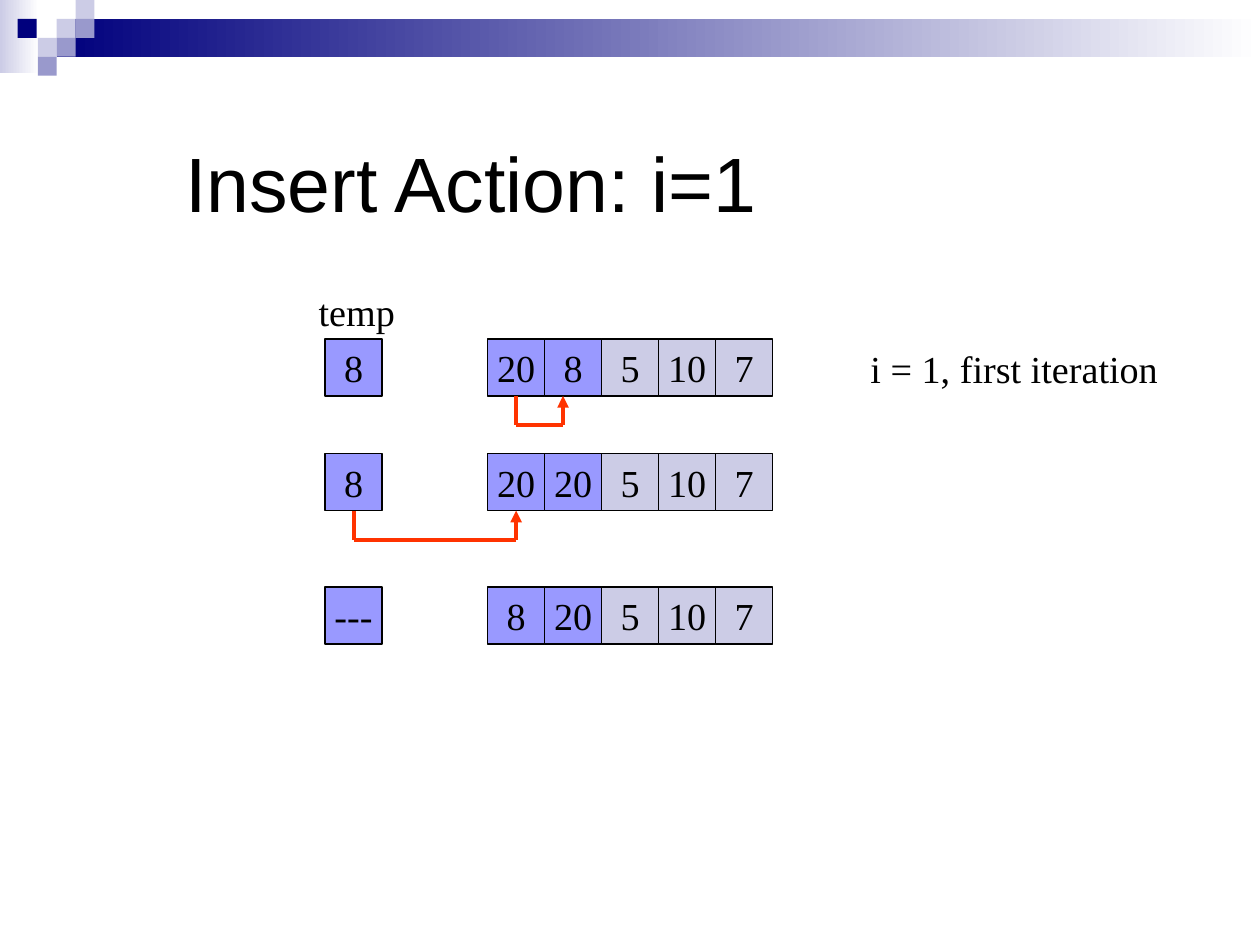
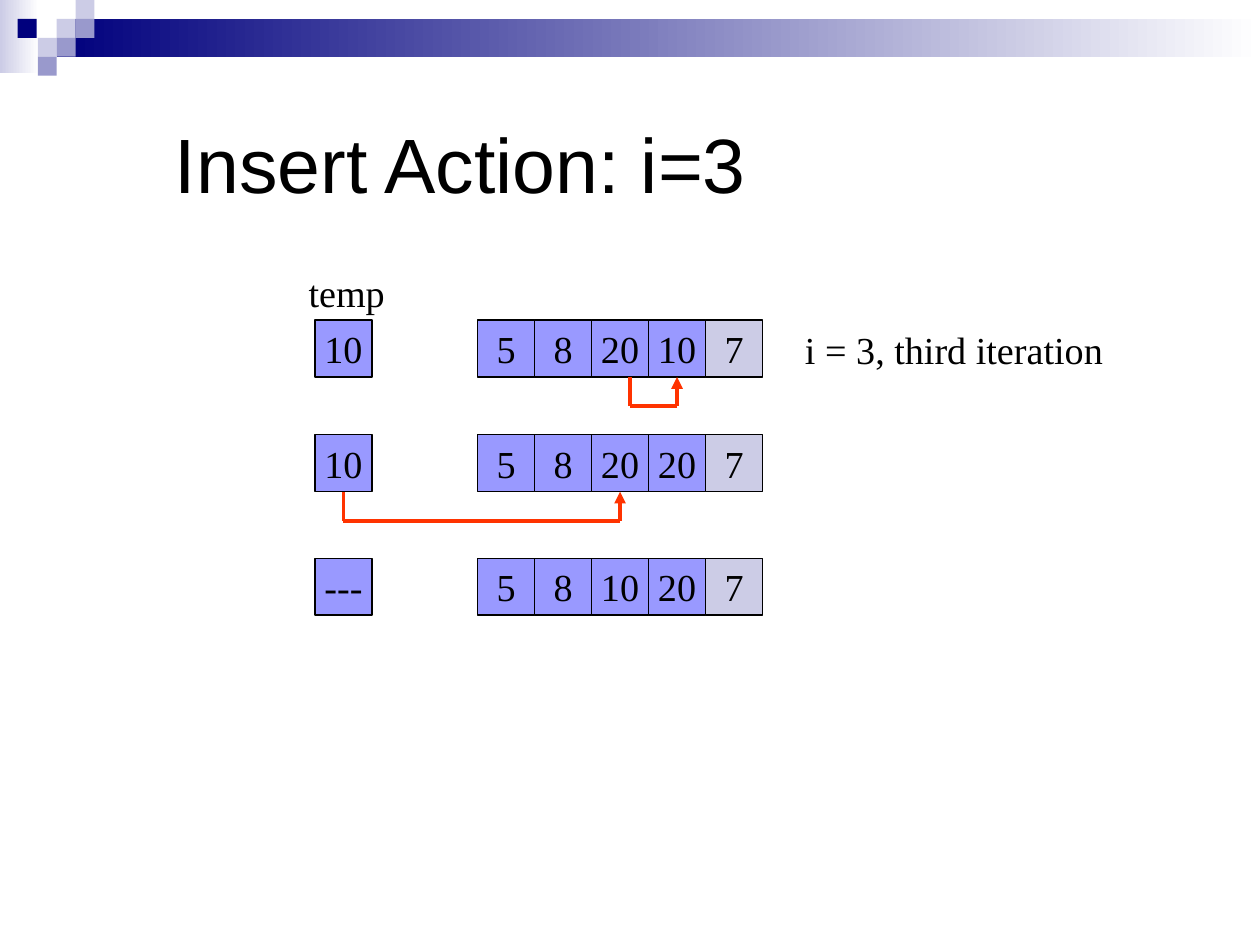
from dataclasses import dataclass
from typing import Any

from pptx import Presentation
from pptx.dml.color import RGBColor
from pptx.enum.shapes import MSO_CONNECTOR as ConnectorKind, MSO_SHAPE as ShapeKind
from pptx.enum.text import MSO_ANCHOR as Anchor, PP_ALIGN as Align
from pptx.oxml.ns import qn
from pptx.shapes.autoshape import Shape
from pptx.slide import Slide
from pptx.util import Inches, Length, Pt
from lxml.etree import SubElement

BLACK = RGBColor(0x00, 0x00, 0x00)
WHITE = RGBColor(0xFF, 0xFF, 0xFF)
NAVY = RGBColor(0x00, 0x00, 0x7D)
LAVENDER = RGBColor(0xCC, 0xCC, 0xE6)
DUSK = RGBColor(0x99, 0x99, 0xCC)
SORTED_BLUE = RGBColor(0x99, 0x99, 0xFF)
ARROW_RED = RGBColor(0xFF, 0x33, 0x00)

TITLE_FONT = {"name": "Arial", "size": Pt(44)}
BODY_FONT = {"name": "Times New Roman", "size": Pt(21.8)}
TITLE_FRAME = {"word_wrap": True, "vertical_anchor": Anchor.MIDDLE}
LABEL_FRAME = {"word_wrap": True, "vertical_anchor": Anchor.TOP}
CELL_FRAME = {"word_wrap": False, "vertical_anchor": Anchor.MIDDLE}

CELL = Length(Inches(1.81) // 4)
TEMP_GAP = Inches(1.29)
DROP = Inches(0.23)
TILE = Inches(0.15)


@dataclass(frozen=True)
class Tile:
    left: float
    top: float
    color: RGBColor


@dataclass(frozen=True)
class Step:
    offset: float
    temp: str
    values: tuple[str, ...]


@dataclass(frozen=True)
class Move:
    step: int
    source: int | None
    target: int
    source_shift: float = 0
    target_shift: float = 0


@dataclass(frozen=True)
class Iteration:
    title: str
    note: str
    note_left: float
    left: float
    top: float
    sorted_count: int
    steps: tuple[Step, ...]
    moves: tuple[Move, ...]


TILES = (
    Tile(0.45, 0.15, LAVENDER),
    Tile(0.6, 0, LAVENDER),
    Tile(0.6, 0.15, DUSK),
    Tile(0.3, 0.3, LAVENDER),
    Tile(0.14, 0.15, NAVY),
    Tile(0.45, 0.3, DUSK),
    Tile(0.3, 0.45, DUSK),
)

ITERATIONS = (
    Iteration(
        "Insert Action: i=1", "i = 1, first iteration", 6.81, 3.87, 2.69, 2,
        (
            Step(0, "8", ("20", "8", "5", "10", "7")),
            Step(0.91, "8", ("20", "20", "5", "10", "7")),
            Step(1.97, "---", ("8", "20", "5", "10", "7")),
        ),
        (Move(0, 0, 1, target_shift=-0.08), Move(1, None, 0)),
    ),
    Iteration(
        "Insert Action: i=3", "i = 3, third iteration", 6.29, 3.79, 2.54, 4,
        (
            Step(0, "10", ("5", "8", "20", "10", "7")),
            Step(0.91, "10", ("5", "8", "20", "20", "7")),
            Step(1.89, "---", ("5", "8", "10", "20", "7")),
        ),
        (Move(0, 2, 3, source_shift=0.08), Move(1, None, 2)),
    ),
)


def assign(target: Any, values: dict[str, Any]) -> None:
    for name, value in values.items():
        setattr(target, name, value)


def write(box: Shape, text: str, font: dict[str, Any], frame: dict[str, Any],
          align: Align = Align.LEFT) -> None:
    assign(box.text_frame, frame)
    para = box.text_frame.paragraphs[0]
    para.alignment = align
    span = para.add_run()
    span.text = text
    assign(span.font, font)
    span.font.color.rgb = BLACK


def add_rectangle(page: Slide, left: Length, top: Length, width: Length, height: Length) -> Shape:
    box = page.shapes.add_shape(ShapeKind.RECTANGLE, left, top, width, height)
    box.shadow.inherit = False
    box.line.fill.background()
    return box


def add_fade(page: Slide, left: float, top: float, width: float, height: float,
             color: RGBColor) -> None:
    box = add_rectangle(page, Inches(left), Inches(top), Inches(width), Inches(height))
    box.fill.gradient()
    box.fill.gradient_angle = 0
    for stop, stop_color in zip(box.fill.gradient_stops, (color, WHITE)):
        stop.color.rgb = stop_color


def add_banner(page: Slide) -> None:
    add_fade(page, 0, 0, 0.31, 0.58, LAVENDER)
    add_fade(page, 0.45, 0.15, 9.55, 0.3, NAVY)
    for tile in TILES:
        box = add_rectangle(page, Inches(tile.left), Inches(tile.top), TILE, TILE)
        box.fill.solid()
        box.fill.fore_color.rgb = tile.color


def add_label(page: Slide, text: str, left: float, top: float, width: float) -> None:
    box = page.shapes.add_textbox(Inches(left), Inches(top), Inches(width), Inches(0.47))
    write(box, text, BODY_FONT, LABEL_FRAME)


def add_cell(page: Slide, text: str, left: Length, top: Length, color: RGBColor) -> Shape:
    cell = add_rectangle(page, left, top, CELL, CELL)
    cell.fill.solid()
    cell.fill.fore_color.rgb = color
    cell.line.color.rgb = BLACK
    cell.line.width = Pt(0.75)
    write(cell, text, BODY_FONT, CELL_FRAME, Align.CENTER)
    return cell


def add_line(page: Slide, start: tuple[int, int], end: tuple[int, int],
             joined: Shape | None = None, arrow: bool = False) -> None:
    line = page.shapes.add_connector(ConnectorKind.STRAIGHT, *start, *end)
    line.line.color.rgb = ARROW_RED
    line.line.width = Pt(2.25)
    if arrow:
        SubElement(line.line._get_or_add_ln(), qn("a:tailEnd"), type="triangle")
    SubElement(line._element.spPr, qn("a:effectLst"))
    if joined is not None:
        line.end_connect(joined, 2)


def add_move(page: Slide, source: Shape, target: Shape, move: Move) -> None:
    bottom = source.top + CELL
    corners = []
    for cell, shift in ((source, move.source_shift), (target, move.target_shift)):
        center = cell.left + CELL // 2 + Inches(shift)
        corner = (center, bottom + DROP)
        add_line(page, corner, (center, bottom), None if shift else cell, cell is target)
        corners.append(corner)
    add_line(page, corners[1], corners[0])


def add_step(page: Slide, iteration: Iteration, step: Step) -> tuple[Shape, list[Shape]]:
    left = Inches(iteration.left)
    top = Inches(iteration.top + step.offset)
    cells = [
        add_cell(page, value, left + column * CELL, top,
                 SORTED_BLUE if column < iteration.sorted_count else LAVENDER)
        for column, value in enumerate(step.values)
    ]
    return add_cell(page, step.temp, left - TEMP_GAP, top, SORTED_BLUE), cells


def add_iteration(page: Slide, iteration: Iteration) -> None:
    add_banner(page)
    title = page.shapes.add_textbox(Inches(iteration.left - 2.5), Inches(iteration.top - 1.81),
                                    Inches(7.71), Inches(1.13))
    write(title, iteration.title, TITLE_FONT, TITLE_FRAME)
    rows = [add_step(page, iteration, step) for step in iteration.steps]
    add_label(page, "temp", iteration.left - 1.44, iteration.top - 0.45, 0.91)
    add_label(page, iteration.note, iteration.note_left, iteration.top, 2.72)
    for move in iteration.moves:
        temp, cells = rows[move.step]
        source = temp if move.source is None else cells[move.source]
        add_move(page, source, cells[move.target], move)


def main() -> None:
    deck = Presentation()
    assign(deck, {"slide_width": Inches(10), "slide_height": Inches(7.5)})
    for iteration in ITERATIONS:
        add_iteration(deck.slides.add_slide(deck.slide_layouts[6]), iteration)
    deck.save("out.pptx")


if __name__ == "__main__":
    main()
